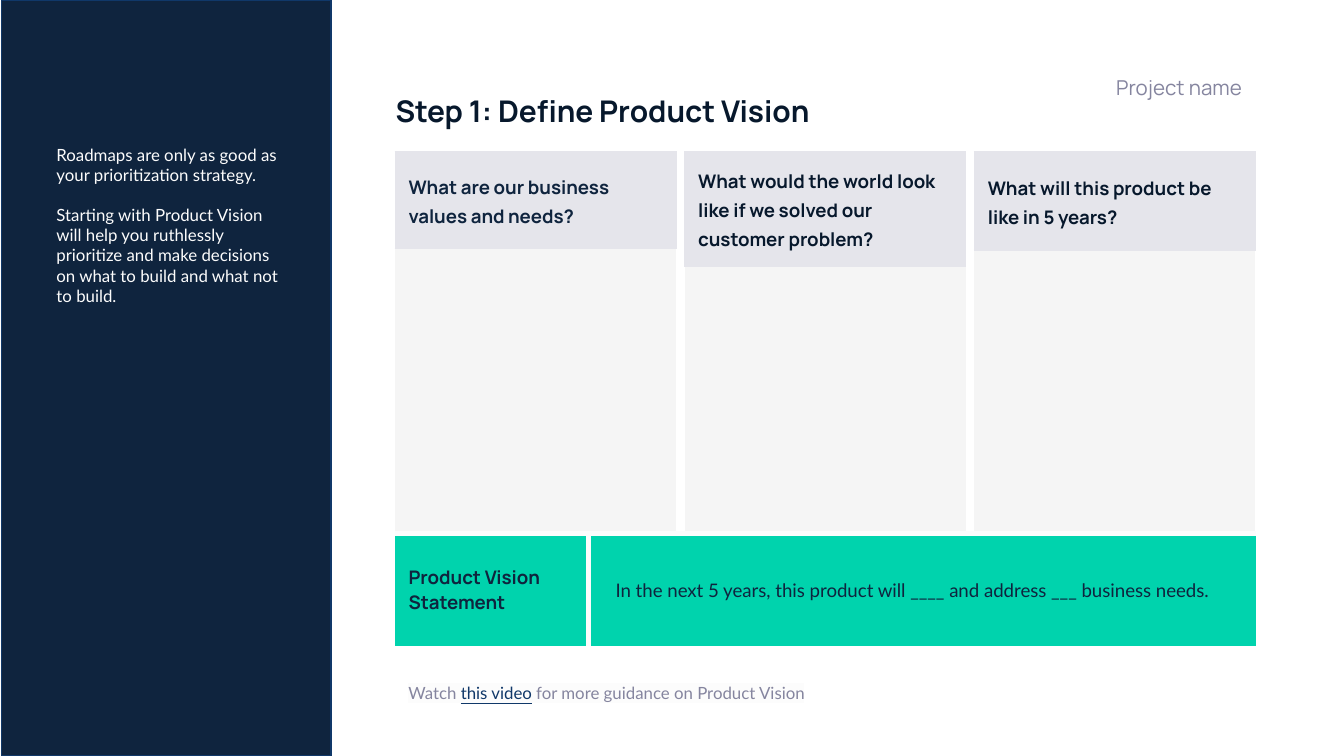
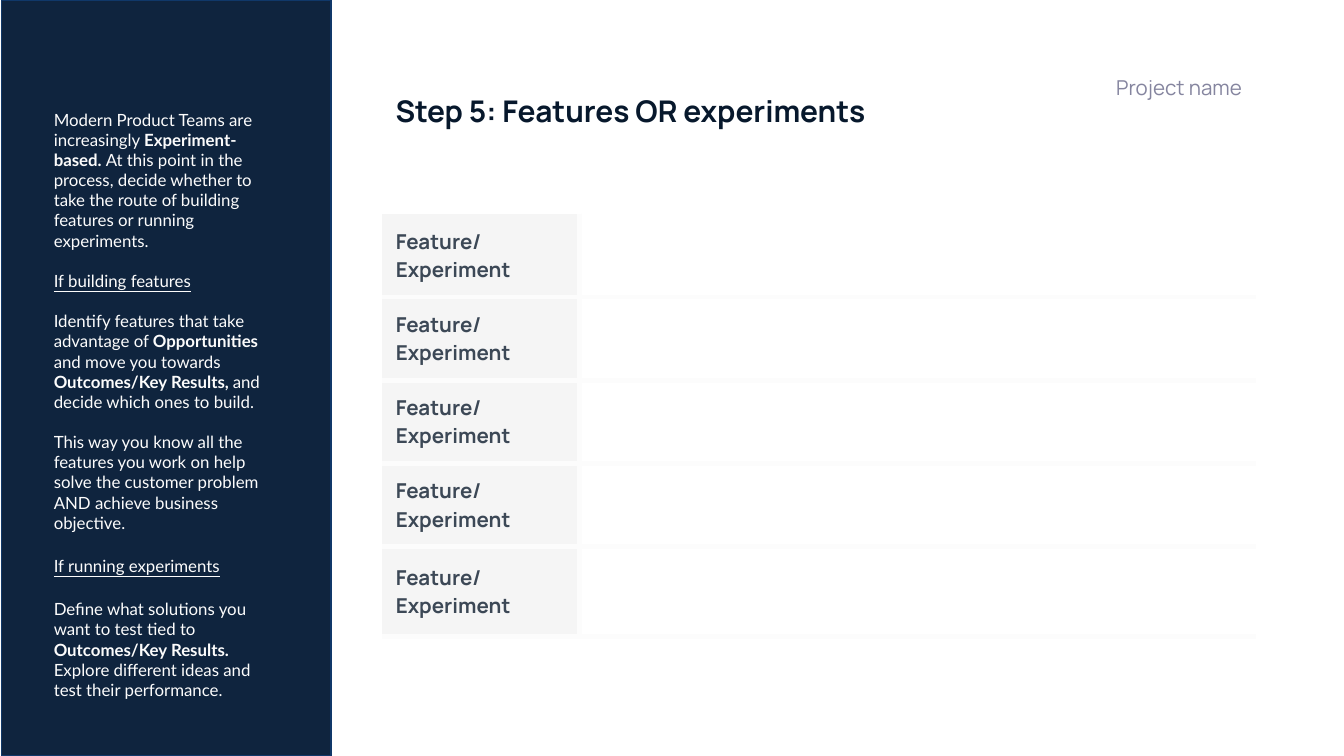
from pptx import Presentation
from pptx import util as u
from pptx.dml.color import RGBColor
from pptx.enum import shapes, text
from pptx.oxml.ns import qn
from lxml import etree

NAVY = RGBColor(0x0F, 0x24, 0x3E)
INK = RGBColor(0x07, 0x18, 0x2C)
BLUE = RGBColor(0x10, 0x38, 0x69)
SLATE = RGBColor(0x3C, 0x48, 0x56)
MUTED = RGBColor(0x85, 0x85, 0x9F)
LILAC = RGBColor(0xE5, 0xE5, 0xEB)
PALE = RGBColor(0xF5, 0xF5, 0xF5)
SNOW = RGBColor(0xFC, 0xFC, 0xFC)
MINT = RGBColor(0x00, 0xD3, 0xAD)

HEAD, BODY = "Manrope", "Lato"
PLAIN = "{2D5ABB26-0587-4C30-8999-92F81FD0307C}"  # table style without grid
WIDE, HIGH = u.Inches(10), u.Inches(5.625)
TOP = text.MSO_ANCHOR.TOP
MID = text.MSO_ANCHOR.MIDDLE
LOW = text.MSO_ANCHOR.BOTTOM

# Side notes: "|" parts the runs, "*" starts a bold run, "~" an underlined one
VISION = [
    "Roadmaps are only as good as your prioritization strategy.",
    "Starting with Product Vision will help you ruthlessly prioritize "
    "and make decisions on what to build and what not to build.",
]
ROUTES = [
    "Modern Product Teams are increasingly |*Experiment- based. |At this point "
    "in the process, decide whether to take the route of building features "
    "or running experiments.",
    "~If building features",
    "Identify features that take advantage of |*Opportunities| and move you "
    "towards |*Outcomes/Key Results, |and decide which ones to build.",
    "This way you know all the features you work on help solve the customer "
    "problem AND achieve business objective.",
    "~If running experiments",
    "Define what solutions you want to test tied to |*Outcomes/Key Results. |"
    "Explore different ideas and test their performance.",
]
# Question, colour, header height, right and bottom inset
ASKS = [
    ("What are our business values and needs?", NAVY, 7.2, 1, 1),
    ("What would the world look like if we solved our customer problem?",
     INK, 8.5, 2, 1.7),
    ("What will this product be like in 5 years?", INK, 7.3, 1, 1),
]


def span(share):
    """Length as a percentage of the slide's width."""
    return round(WIDE * share / 100)


def write(frame, lines, face, size, color, bold=False):
    """Write one paragraph per line, split into marked runs."""
    for i, line in enumerate(lines):
        para = frame.paragraphs[0] if i == 0 else frame.add_paragraph()
        for piece in line.split("|"):
            run = para.add_run()
            run.text = piece.lstrip("*~")
            font = run.font
            font.name, font.size = face, u.Pt(size)
            font.color.rgb = color
            font.bold = bold or piece.startswith("*")
            font.underline = piece.startswith("~")


def label(slide, box, line, face, size, color, bold=False, anchor=TOP, low=1):
    frame = slide.shapes.add_textbox(*map(span, box)).text_frame
    frame.word_wrap = True
    frame.vertical_anchor = anchor
    frame.margin_left = frame.margin_right = frame.margin_top = span(1)
    frame.margin_bottom = span(low)
    write(frame, [line], face, size, color, bold)
    return frame


def grid(slide, left, top, cols, rows):
    frame = slide.shapes.add_table(
        len(rows), len(cols), span(left), span(top),
        span(sum(cols)), span(sum(rows)))
    table = frame.table
    table.first_row = table.horz_banding = False
    table._tbl.tblPr.find(qn("a:tableStyleId")).text = PLAIN
    for col, size in zip(table.columns, cols):
        col.width = span(size)
    for row, size in zip(table.rows, rows):
        row.height = span(size)
    return table


def paint(cell, fill=None, sides="", edge=SNOW, width=3, pad=(1, 1, 1, 1)):
    """Give a cell its borders, fill and insets (left, top, right, bottom)."""
    props = cell._tc.get_or_add_tcPr()
    for side in sides:
        line = etree.SubElement(props, qn("a:ln" + side), w=str(u.Pt(width)))
        solid = etree.SubElement(line, qn("a:solidFill"))
        etree.SubElement(solid, qn("a:srgbClr"), val=str(edge))
    if fill is None:
        cell.fill.background()
    else:
        cell.fill.solid()
        cell.fill.fore_color.rgb = fill
    cell.vertical_anchor = MID
    (cell.margin_left, cell.margin_top,
     cell.margin_right, cell.margin_bottom) = map(span, pad)


def base(deck, title, width):
    """Blank slide with navy band, title and project name."""
    slide = deck.slides.add_slide(deck.slide_layouts[6])
    band = slide.shapes.add_shape(
        shapes.MSO_SHAPE.RECTANGLE, span(0.12), 0, span(24.5), HIGH)
    band.shadow.inherit = False
    band.fill.solid()
    band.fill.fore_color.rgb = NAVY
    band.line.color.rgb = BLUE
    band.line.width = u.Pt(0.75)
    label(slide, (28.45, 5.9, 63.6, 4.7), title, HEAD, 16, INK, True)
    name = label(slide, (93.4 - width, 4.6, width, 3.3), "Project name",
                 HEAD, 11, MUTED, anchor=LOW, low=0.5)
    name.paragraphs[0].alignment = text.PP_ALIGN.RIGHT
    return slide


def note(slide, left, top, rows, lines, gaps):
    """Table on the navy band: the text row between two empty merged areas."""
    table = grid(slide, left, top, [6.2, 6.4, 8.1], rows)
    for first, last in ((0, 0), (1, 1), (2, 4)):
        table.cell(first, 0).merge(table.cell(last, 2))
    for cell in table.iter_cells():
        paint(cell, NAVY, pad=(0, 0, 0, 0))
    cell = table.cell(1, 0)
    cell.margin_left = cell.margin_right = span(2)
    cell.margin_top = cell.margin_bottom = span(1)
    write(cell.text_frame, lines, BODY, 9, SNOW)
    for para, gap in zip(cell.text_frame.paragraphs, gaps):
        para.space_after = u.Pt(gap)


def ask(slide, left, line, color, high, right, low):
    """Question header above an empty answer field."""
    table = grid(slide, left, 11.3, [20.9], [high, 28.4 - high])
    head, field = table.cell(0, 0), table.cell(1, 0)
    paint(head, LILAC, "LRTB", LILAC, 0.75, (1, 1, right, low))
    paint(field, PALE, "T", LILAC, 0.75)
    write(head.text_frame, [line], HEAD, 10, color, True)
    para = head.text_frame.paragraphs[0]
    para.line_spacing = 1.15
    para.space_after = u.Pt(12)


def claim(slide):
    """Green vision statement row."""
    table = grid(slide, 29.4, 39.7, [14.4, 49.65], [8.4])
    name, words = table.cell(0, 0), table.cell(0, 1)
    paint(name, MINT, "RT")
    paint(words, MINT, "LT", pad=(2, 1, 1, 1))
    write(name.text_frame, ["Product Vision Statement"], HEAD, 10, NAVY, True)
    write(words.text_frame,
          ["In the next 5 years, this product will ____ and address ___ "
           "business needs."], BODY, 10, NAVY)


def hint(slide):
    """Guidance line with a highlighted, underlined phrase."""
    frame = label(slide, (29.4, 50.05, 49.1, 3.5),
                  "Watch |~this video| for more guidance on Product Vision",
                  BODY, 9, MUTED)
    frame.auto_size = text.MSO_AUTO_SIZE.SHAPE_TO_FIT_TEXT
    runs = frame.paragraphs[0].runs
    runs[1].font.color.rgb = BLUE
    for run in runs:
        mark = etree.Element(qn("a:highlight"))
        etree.SubElement(mark, qn("a:srgbClr"), val=str(SNOW))
        run._r.rPr.find(qn("a:solidFill")).addnext(mark)


def plan(slide):
    """Five features or experiments with room to fill in."""
    table = grid(slide, 28.45, 15.9, [14.7, 50.3], [6.2] * 4 + [6.7])
    for i, row in enumerate(table.rows):
        name, room = row.cells
        sides = "TB" if i else "B"
        paint(name, PALE, "R" + sides)
        paint(room, None, "L" + sides)
        write(name.text_frame, ["Feature/", "Experiment"],
              HEAD, 11, SLATE, True)


def main():
    deck = Presentation()
    deck.slide_width, deck.slide_height = WIDE, HIGH

    # Step 1
    slide = base(deck, "Step 1: Define Product Vision", 43.4)
    note(slide, 2.2, 4.2, [5.5, 14.1, 5.6, 5.6, 1.3], VISION, [10.8])
    for i, parts in enumerate(ASKS):
        ask(slide, 29.4 + 21.55 * i, *parts)
    claim(slide)
    hint(slide)

    # Step 5
    slide = base(deck, "Step 5: Features OR experiments", 16.7)
    note(slide, 2, 2.4, [4.7, 46, 0.5, 0.5, 0.5], ROUTES,
         [10.8, 10.8, 10.8, 12.4, 12.4])
    plan(slide)

    deck.save("out.pptx")


if __name__ == "__main__":
    main()
